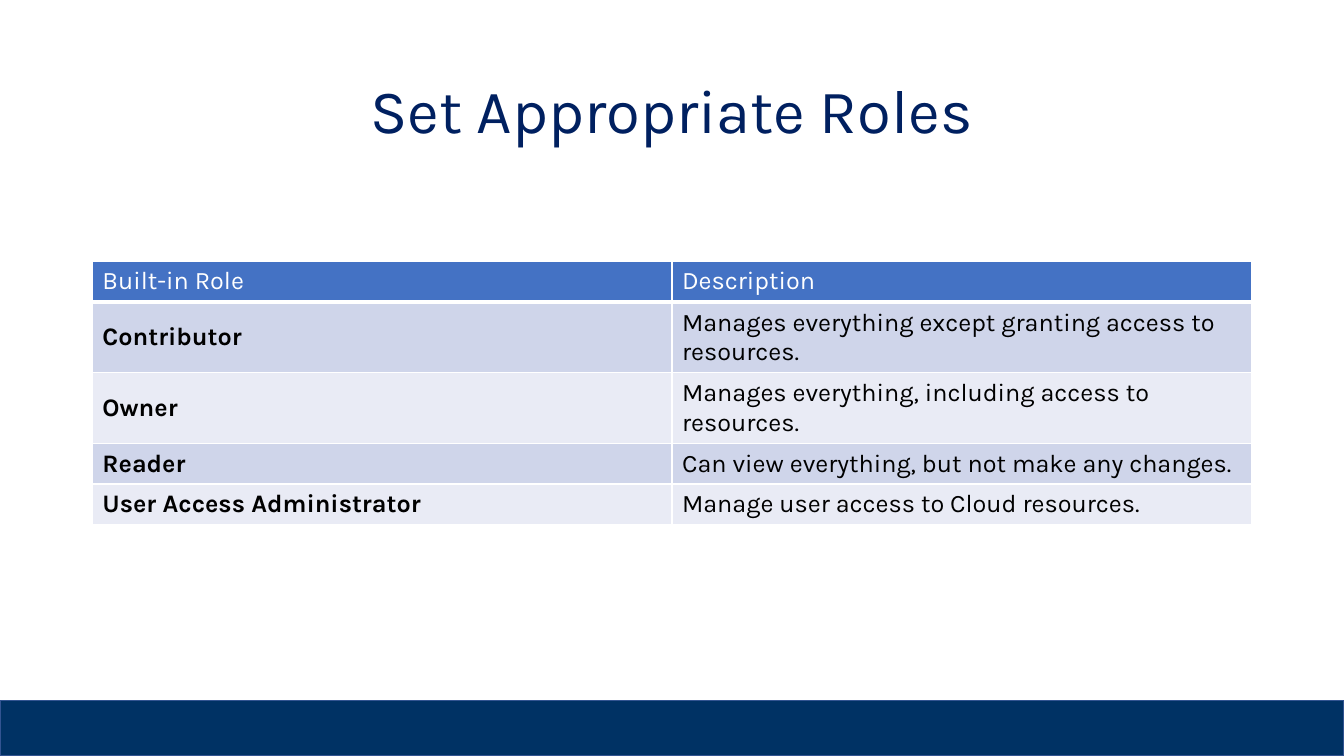
import pptx
import pptx.util
import pptx.dml.color
import pptx.enum.shapes
import pptx.enum.text
import pptx.oxml.ns
import lxml.etree

Pt = pptx.util.Pt
ALIGN = pptx.enum.text.PP_ALIGN
MIDDLE = pptx.enum.text.MSO_ANCHOR.MIDDLE
TOP = pptx.enum.text.MSO_ANCHOR.TOP
COLORS = {
    "navy": "003264", "edge": "325491", "title": "002060", "head": "4472C4",
    "odd": "CFD5EA", "even": "E9EBF5", "white": "FFFFFF", "black": "000000",
}
ROLES = [
    ("Built-in Role", "Description"),
    ("Contributor", "Manages everything except granting access to resources."),
    ("Owner", "Manages everything, including access to resources."),
    ("Reader", "Can view everything, but not make any changes."),
    ("User Access Administrator", "Manage user access to Cloud resources."),
]
HEIGHTS = [29, 50, 50, 29, 29]


class Deck:
    """Draw styled elements on one slide, with lengths in points."""

    def __init__(self, width, height, font):
        self.show = pptx.Presentation()
        self.show.slide_width, self.show.slide_height = Pt(width), Pt(height)
        self.slide = self.show.slides.add_slide(self.show.slide_layouts[6])
        self.font = font

    def color(self, name):
        return pptx.dml.color.RGBColor.from_string(COLORS[name])

    def paint(self, fill, name):
        fill.solid()
        fill.fore_color.rgb = self.color(name)

    def label(self, frame, text, size, color, bold=False):
        frame.text = text
        font = frame.paragraphs[0].runs[0].font
        font.name, font.size, font.bold = self.font, Pt(size), bold
        font.color.rgb = self.color(color)

    def bar(self, left, top, width, height, fill, line):
        shape = self.slide.shapes.add_shape(
            pptx.enum.shapes.MSO_SHAPE.RECTANGLE, Pt(left), Pt(top), Pt(width), Pt(height))
        shape.shadow.inherit = False
        self.paint(shape.fill, fill)
        self.paint(shape.line.fill, line)
        shape.line.width = Pt(1)

    def title(self, left, top, width, height, text):
        frame = self.slide.shapes.add_textbox(
            Pt(left), Pt(top), Pt(width), Pt(height)).text_frame
        frame.word_wrap = True
        frame.vertical_anchor = MIDDLE
        self.label(frame, text, 44, "title")
        frame.paragraphs[0].alignment = ALIGN.CENTER
        frame.paragraphs[0].line_spacing = 0.9

    def border(self, cell, base):
        props = cell._tc.get_or_add_tcPr()
        for side, width in zip("LRTB", (1, 1, 1, base)):
            line = lxml.etree.SubElement(
                props, pptx.oxml.ns.qn("a:ln" + side), w=str(Pt(width)))
            fill = lxml.etree.SubElement(line, pptx.oxml.ns.qn("a:solidFill"))
            lxml.etree.SubElement(
                fill, pptx.oxml.ns.qn("a:srgbClr"), val=COLORS["white"])

    def table(self, left, top, width, rows, heights):
        grid = self.slide.shapes.add_table(
            len(rows), len(rows[0]), Pt(left), Pt(top), Pt(width), Pt(sum(heights))).table
        for r, (row, height) in enumerate(zip(rows, heights)):
            grid.rows[r].height = Pt(height)
            head = r == 0
            band = "head" if head else "odd" if r % 2 else "even"
            for c, text in enumerate(row):
                cell = grid.cell(r, c)
                self.border(cell, 3 if head else 1)
                self.paint(cell.fill, band)
                cell.vertical_anchor = TOP if head else MIDDLE
                self.label(cell.text_frame, text, 18,
                           "white" if head else "black", not head and c == 0)

    def save(self):
        self.show.save("out.pptx")


def main():
    deck = Deck(960, 540, "Karla")
    deck.bar(0, 500.4, 960, 39.6, "navy", "edge")
    deck.title(66, 28.8, 828, 104.4, "Set Appropriate Roles")
    deck.table(66, 186.8, 828, ROLES, HEIGHTS)
    deck.save()


if __name__ == "__main__":
    main()
